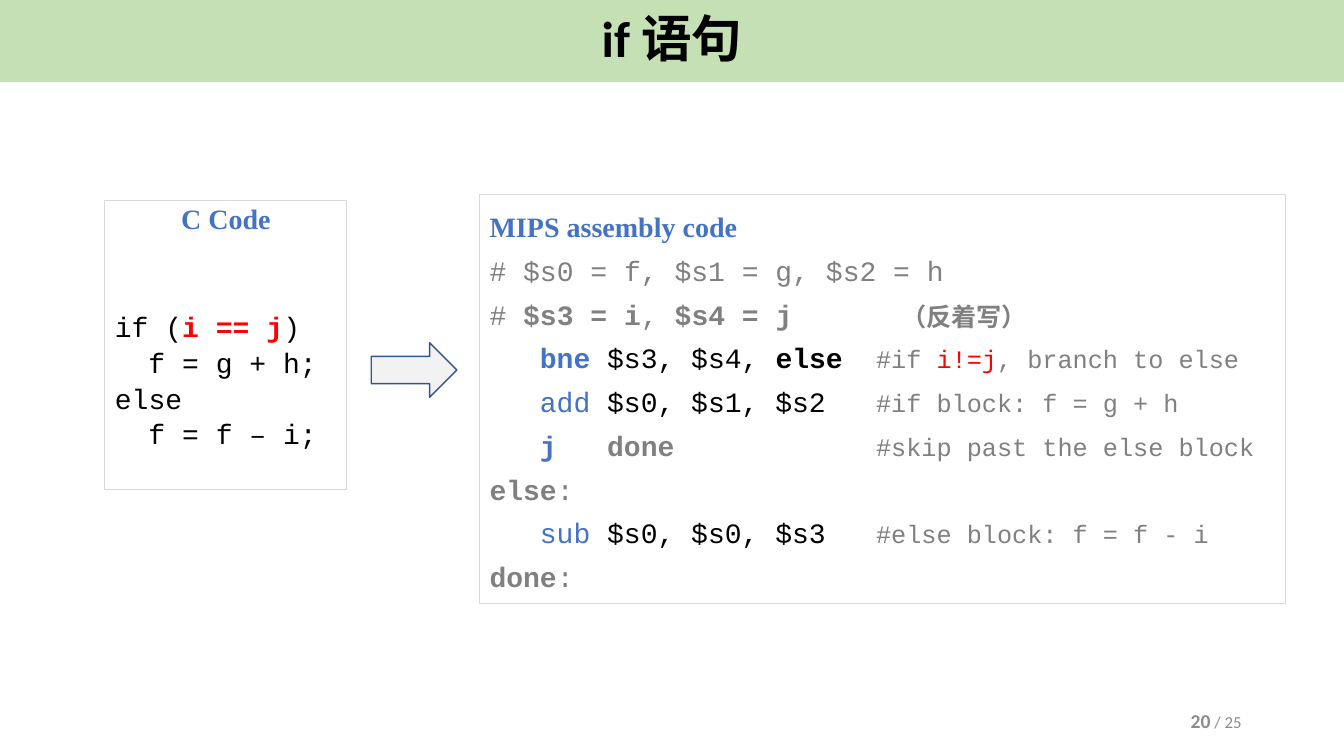
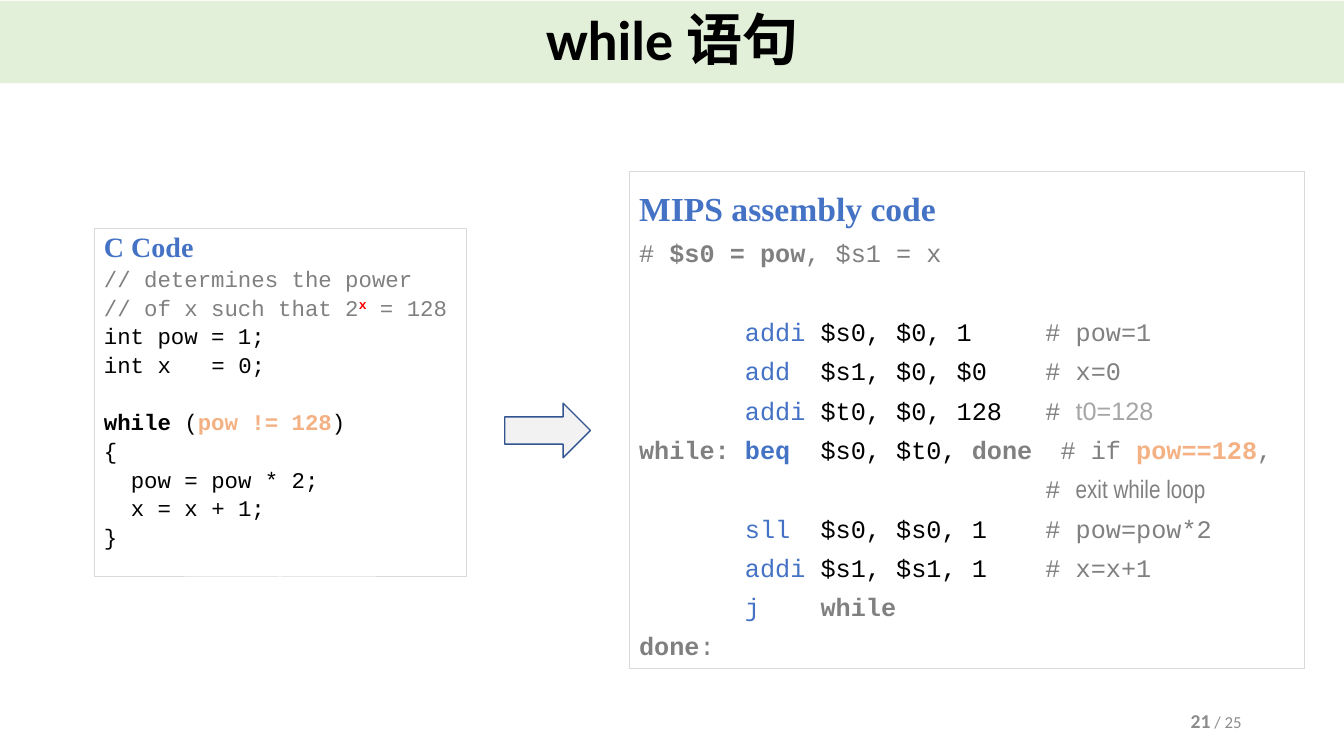
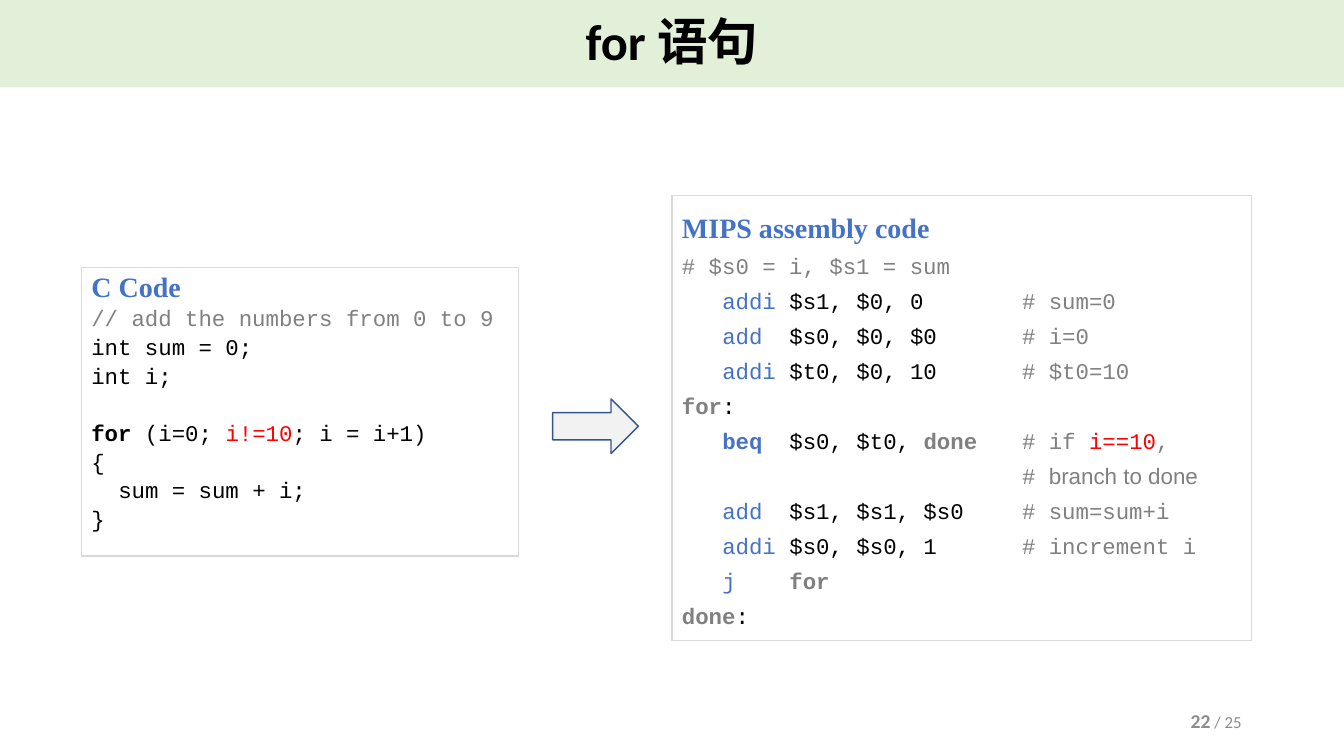
from lxml import etree
from pptx import Presentation
from pptx import util as u
from pptx.dml import color
from pptx.enum import shapes, text
from pptx.oxml import ns

WIDTH, HEIGHT = 13.33, 7.5
COLUMNS, ROWS = 16, 9
TOTAL = 25
GREEN, PALE_GREEN = "C5E0B4", "E2F0D9"
BLACK, GREY, BLUE, RED, ORANGE = "000000", "808080", "4472C4", "FF0000", "F4B183"
MONO = "Courier New"
CHARACTER = 0.6  # width of a fixed-pitch character, in ems
LINE_HEIGHT = 1.2  # in ems

# name: (colour, bold, font)
STYLES = {
    "code": (BLACK, False, MONO),
    "strong": (BLACK, True, MONO),
    "op": (BLUE, False, MONO),
    "jump": (BLUE, True, MONO),
    "label": (GREY, True, MONO),
    "remark": (GREY, False, MONO),
    "note": (GREY, False, MONO),
    "note_red": (RED, False, MONO),
    "note_light": ("A6A6A6", False, "Arial"),
    "note_sans": (GREY, False, "Arial"),
    "note_narrow": (GREY, False, "Arial Narrow"),
    "red": (RED, False, MONO),
    "red_bold": (RED, True, MONO),
    "power": (RED, True, MONO),
    "orange": (ORANGE, True, MONO),
}


def rgb(value):
    return color.RGBColor.from_string(value)


def place(column, row, columns, rows):
    """Turn grid units into left, top, width and height."""
    across, down = WIDTH / COLUMNS, HEIGHT / ROWS
    return [u.Inches(n) for n in (column * across, row * down, columns * across, rows * down)]


def add_run(paragraph, words, size, colour, bold=False, font="Calibri"):
    run = paragraph.add_run()
    run.text = words
    run.font.size = u.Pt(size)
    run.font.name = font
    run.font.bold = bold
    run.font.color.rgb = rgb(colour)
    return run


def add_box(slide, kind, area, fill=None, line=None, line_width=0.75):
    shape = slide.shapes.add_shape(kind, *place(*area))
    shape.shadow.inherit = False
    if fill:
        shape.fill.solid()
        shape.fill.fore_color.rgb = rgb(fill)
    else:
        shape.fill.background()
    if line:
        shape.line.color.rgb = rgb(line)
        shape.line.width = u.Pt(line_width)
    else:
        shape.line.fill.background()
    return shape


def add_label(slide, area, runs, align, wrap=True):
    frame = slide.shapes.add_textbox(*place(*area)).text_frame
    frame.word_wrap = wrap
    frame.vertical_anchor = text.MSO_ANCHOR.MIDDLE
    paragraph = frame.paragraphs[0]
    paragraph.alignment = align
    for run in runs:
        add_run(paragraph, *run)


def set_tabs(paragraph, size, stops):
    """Put left tab stops at the given character columns."""
    properties = paragraph._p.get_or_add_pPr()
    tabs = etree.SubElement(properties, ns.qn("a:tabLst"))
    for stop in stops:
        position = u.Pt(stop * size * CHARACTER)
        etree.SubElement(tabs, ns.qn("a:tab"), pos=str(int(position)), algn="l")


def add_code(slide, area, heading, lines, size, stops, spacing, before=0, gaps=None,
             heading_size=20, note_size=None, heading_align=text.PP_ALIGN.LEFT):
    """Draw a framed listing; gaps maps a line number to the empty lines above it."""
    frame = add_box(slide, shapes.MSO_SHAPE.RECTANGLE, area, line="D9D9D9").text_frame
    frame.word_wrap = True
    frame.vertical_anchor = text.MSO_ANCHOR.TOP
    paragraph = frame.paragraphs[0]
    paragraph.alignment = heading_align
    paragraph.line_spacing = spacing
    add_run(paragraph, heading, heading_size, BLUE, True, "Times New Roman")
    pitch = size * (LINE_HEIGHT * spacing + before)
    for number, line in enumerate(lines):
        paragraph = frame.add_paragraph()
        paragraph.alignment = text.PP_ALIGN.LEFT
        paragraph.line_spacing = spacing
        paragraph.space_before = u.Pt(before * size + (gaps or {}).get(number, 0) * pitch)
        set_tabs(paragraph, size, stops)
        for style, words in line:
            run_size = note_size if note_size and style.startswith("note") else size
            run = add_run(paragraph, words, run_size, *STYLES[style])
            if style == "power":
                run.font._element.set("baseline", "30000")


def add_c_code(slide, area, lines, size=16, **options):
    add_code(slide, area, "C Code", lines, size, (2, 8), 0.9, before=0.2, **options)


def add_assembly(slide, area, lines, size, stops, **options):
    add_code(slide, area, "MIPS assembly code", lines, size, stops, 1.3, **options)


def instruction(op, operands, comment):
    return [("op", f"\t{op}"), ("code", f"\t{operands}\t"), ("note", comment)]


def code(*lines):
    return [[("code", line)] for line in lines]


def add_slide(presentation, number, title, band, title_size, arrow, band_top=0, band_rows=0.98):
    """Add a slide with its title band, arrow and page number."""
    slide = presentation.slides.add_slide(presentation.slide_layouts[6])
    title_band = add_box(slide, shapes.MSO_SHAPE.RECTANGLE,
                         (0, band_top, COLUMNS, band_rows), band)
    frame = title_band.text_frame
    frame.vertical_anchor = text.MSO_ANCHOR.MIDDLE
    paragraph = frame.paragraphs[0]
    paragraph.alignment = text.PP_ALIGN.CENTER
    paragraph.line_spacing = 0.9
    add_run(paragraph, title, title_size, BLACK, True)
    add_box(slide, shapes.MSO_SHAPE.RIGHT_ARROW, (*arrow, 1.02, 0.65), "F2F2F2", "325491", 1)
    add_label(slide, (11.3, 8.34, 3.6, 0.48),
              [(str(number), 14, "8C8C8C", True), (f" / {TOTAL}", 12, "8C8C8C")],
              text.PP_ALIGN.RIGHT)
    return slide


def add_if_slide(presentation):
    slide = add_slide(presentation, 20, "if 语句", GREEN, 36, (4.42, 4.08))
    add_c_code(slide, (1.25, 2.39, 2.88, 3.44), [
        [("code", "if ("), ("red_bold", "i == j"), ("code", ")")],
        *code("\tf = g + h;", "else", "\tf = f – i;"),
    ], size=20, gaps={0: 2}, heading_align=text.PP_ALIGN.CENTER)
    add_assembly(slide, (5.71, 2.32, 9.59, 4.87), [
        [("remark", "# $s0 = f, $s1 = g, $s2 = h")],
        [("remark", "# "), ("label", "$s3 = i"), ("remark", ", "), ("label", "$s4 = j")],
        [("jump", "\tbne"), ("code", "\t$s3, $s4, "), ("strong", "else"), ("note", "\t#if "),
         ("note_red", "i!=j"), ("note", ", branch to else")],
        instruction("add", "$s0, $s1, $s2", "#if block: f = g + h"),
        [("jump", "\tj"), ("label", "\tdone"), ("note", "\t#skip past the else block")],
        [("label", "else"), ("remark", ":")],
        instruction("sub", "$s0, $s0, $s3", "#else block: f = f - i"),
        [("label", "done"), ("remark", ":")],
    ], 20, (3, 7, 23), note_size=18)
    add_label(slide, (10.61, 3.53, 1.76, 0.48), [("（反着写）", 18, GREY, True)],
              text.PP_ALIGN.LEFT, wrap=False)


def add_while_slide(presentation):
    slide = add_slide(presentation, 21, "while 语句", PALE_GREEN, 40, (6.01, 4.8), band_top=0.01)
    add_c_code(slide, (1.12, 2.72, 4.43, 4.15), [
        [("remark", "// determines the power")],
        [("remark", "// of x such that 2"), ("power", "x"), ("remark", " = 128")],
        *code("int pow = 1;", "int x\t= 0;"),
        [("strong", "while"), ("code", " ("), ("orange", "pow != 128"), ("code", ")")],
        *code("{", "\tpow = pow * 2;", "\tx = x + 1;", "}"),
    ], gaps={4: 1})
    add_assembly(slide, (7.49, 2.04, 8.04, 5.92), [
        [("remark", "# "), ("label", "$s0 = pow"), ("remark", ", $s1 = x")],
        instruction("addi", "$s0, $0, 1", "# pow=1"),
        instruction("add", "$s1, $0, $0", "# x=0"),
        instruction("addi", "$t0, $0, 128", "# ") + [("note_light", "t0=128")],
        [("label", "while:"), ("jump", "\tbeq"), ("code", "\t$s0, $t0, "), ("label", "done"),
         ("note", "\t # if "), ("orange", "pow==128"), ("note", ",")],
        [("note", "\t\t\t# "), ("note_narrow", "exit while loop")],
        instruction("sll", "$s0, $s0, 1", "# pow=pow*2"),
        instruction("addi", "$s1, $s1, 1", "# x=x+1"),
        [("op", "\tj"), ("label", "\twhile")],
        [("label", "done"), ("remark", ":")],
    ], 18, (7, 12, 26.87), gaps={1: 1}, heading_size=24)


def add_for_slide(presentation):
    slide = add_slide(presentation, 22, "for 语句", PALE_GREEN, 36, (6.58, 4.75), band_rows=1.04)
    add_c_code(slide, (0.97, 3.19, 5.2, 3.43), [
        [("remark", "// add the numbers from 0 to 9")],
        *code("int sum = 0;", "int i;"),
        [("strong", "for"), ("code", " (i=0; "), ("red", "i!=10"), ("code", "; i = i+1)")],
        *code("{", "\tsum = sum + i;", "}"),
    ], gaps={3: 1})
    add_assembly(slide, (8, 2.33, 6.9, 5.29), [
        [("remark", "# $s0 = i, $s1 = sum")],
        instruction("addi", "$s1, $0, 0", "# sum=0"),
        instruction("add", "$s0, $0, $0", "# i=0"),
        instruction("addi", "$t0, $0, 10", "# $t0=10"),
        [("label", "for"), ("code", ":")],
        [("jump", "\tbeq"), ("code", "\t$s0, $t0, "), ("label", "done"), ("note", "\t# if "),
         ("note_red", "i==10"), ("note", ",")],
        [("note", "\t\t\t# "), ("note_sans", "branch to done")],
        instruction("add", "$s1, $s1, $s0", "# sum=sum+i"),
        instruction("addi", "$s0, $s0, 1", "# increment i"),
        [("op", "\tj"), ("label", "\tfor")],
        [("label", "done"), ("code", ":")],
    ], 16, (3, 8, 25.3))


def main():
    presentation = Presentation()
    presentation.slide_width = u.Inches(WIDTH)
    presentation.slide_height = u.Inches(HEIGHT)
    add_if_slide(presentation)
    add_while_slide(presentation)
    add_for_slide(presentation)
    presentation.save("out.pptx")


if __name__ == "__main__":
    main()
